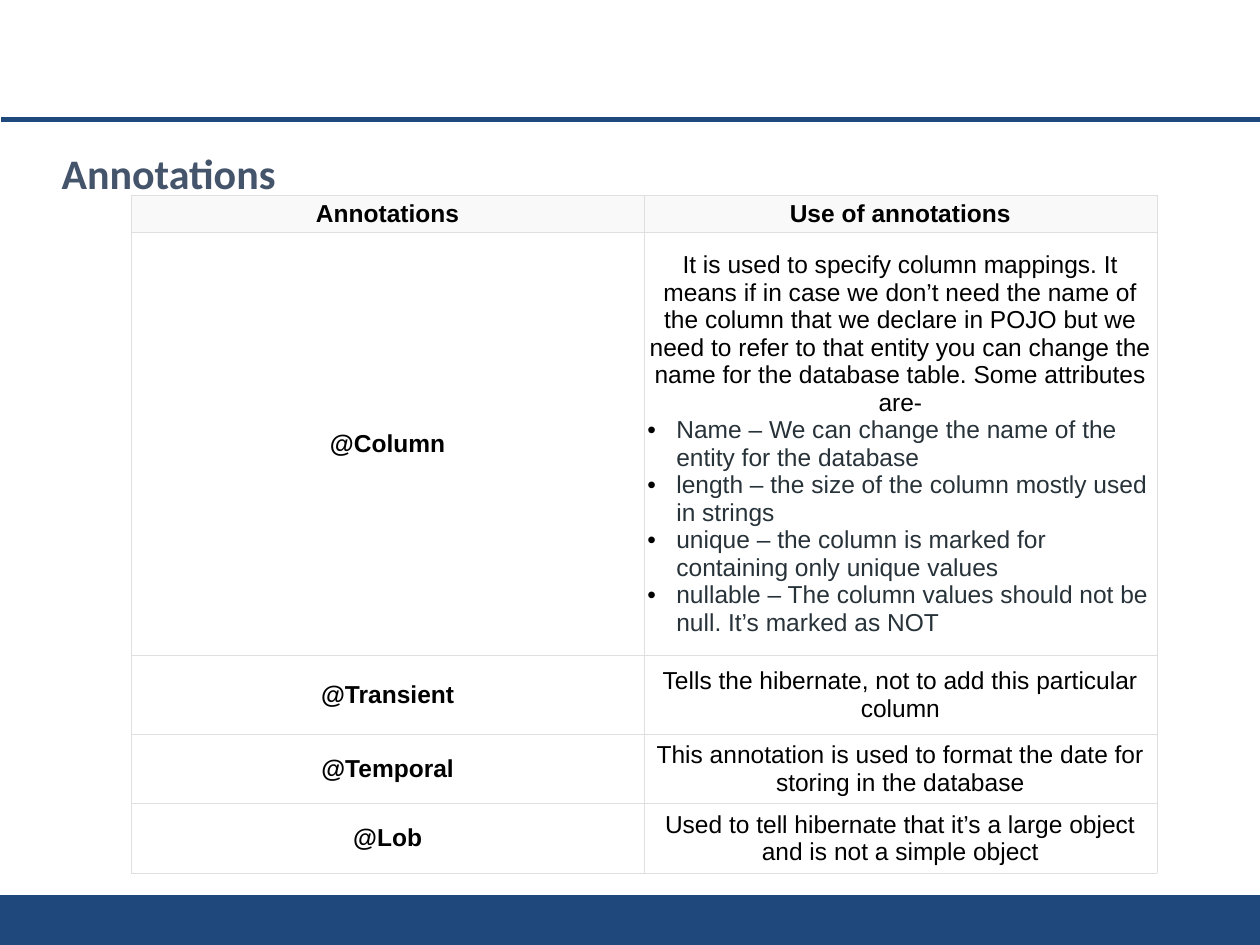
from dataclasses import dataclass

import lxml.etree
import pptx
import pptx.dml.color
import pptx.enum.shapes
import pptx.enum.text
import pptx.oxml.ns
import pptx.util

Pt = pptx.util.Pt
RGB = pptx.dml.color.RGBColor.from_string
qn = pptx.oxml.ns.qn
ALIGN = pptx.enum.text.PP_ALIGN
ANCHOR = pptx.enum.text.MSO_ANCHOR


@dataclass(frozen=True)
class Theme:
    navy: str = "1F487C"
    title: str = "44546A"
    text: str = "000000"
    attribute: str = "273239"
    header_fill: str = "F9F9F9"
    body_fill: str = "FFFFFF"
    border: str = "DFDFDF"
    title_font: str = "Calibri"
    table_font: str = "Arial"
    title_size: float = 24
    table_size: float = 14


@dataclass(frozen=True)
class Annotation:
    name: str
    use: str
    height: float
    attributes: tuple[str, ...] = ()


THEME = Theme()
SLIDE_WIDTH, SLIDE_HEIGHT = 720, 540
COLUMN_WIDTH = 293
HEADER = Annotation("Annotations", "Use of annotations", 21.4)
ANNOTATIONS = [
    Annotation(
        "@Column",
        "It is used to specify column mappings. It means if in case we don’t need "
        "the name of the column that we declare in POJO but we need to refer to that "
        "entity you can change the name for the database table. Some attributes are-",
        241.7,
        (
            "Name – We can change the name of the entity for the database",
            "length – the size of the column mostly used in strings",
            "unique – the column is marked for containing only unique values",
            "nullable – The column values should not be null. It’s marked as NOT",
        ),
    ),
    Annotation("@Transient", "Tells the hibernate, not to add this particular column", 45.1),
    Annotation("@Temporal", "This annotation is used to format the date for storing in the database", 39.4),
    Annotation("@Lob", "Used to tell hibernate that it’s a large object and is not a simple object", 40),
]


def apply(target, values: dict) -> None:
    for name, value in values.items():
        setattr(target, name, value)


def write(paragraph, text: str, font: str, size: float, color: str, bold: bool) -> None:
    run = paragraph.add_run()
    run.text = text
    apply(run.font, {"name": font, "size": Pt(size), "bold": bold})
    run.font.color.rgb = RGB(color)


def add_bullet(paragraph) -> None:
    properties = paragraph._p.get_or_add_pPr()
    indent = Pt(16.5)
    properties.set("marL", str(indent))
    properties.set("indent", str(-indent))
    color = lxml.etree.SubElement(properties, qn("a:buClr"))
    lxml.etree.SubElement(color, qn("a:srgbClr"), val=THEME.text)
    lxml.etree.SubElement(properties, qn("a:buFont"), typeface=THEME.table_font)
    lxml.etree.SubElement(properties, qn("a:buChar"), char="•")


def add_borders(cell) -> None:
    properties = cell._tc.get_or_add_tcPr()
    for side in ("lnL", "lnR", "lnT", "lnB"):
        border = lxml.etree.SubElement(properties, qn(f"a:{side}"), w=str(Pt(0.15)))
        fill = lxml.etree.SubElement(border, qn("a:solidFill"))
        lxml.etree.SubElement(fill, qn("a:srgbClr"), val=THEME.border)


def fill_cell(cell, text: str, fill: str, bold: bool, attributes: tuple[str, ...] = ()) -> None:
    add_borders(cell)
    cell.fill.solid()
    cell.fill.fore_color.rgb = RGB(fill)
    apply(cell, {
        "margin_left": Pt(2), "margin_right": Pt(2),
        "margin_top": Pt(2.5), "margin_bottom": Pt(2.5),
        "vertical_anchor": ANCHOR.MIDDLE,
    })
    lead = cell.text_frame.paragraphs[0]
    lead.alignment = ALIGN.CENTER
    write(lead, text, THEME.table_font, THEME.table_size, THEME.text, bold)
    for attribute in attributes:
        item = cell.text_frame.add_paragraph()
        item.alignment = ALIGN.LEFT
        add_bullet(item)
        write(item, attribute, THEME.table_font, THEME.table_size, THEME.attribute, False)


def add_annotation_table(slide) -> None:
    entries = [HEADER, *ANNOTATIONS]
    table = slide.shapes.add_table(
        len(entries), 2, Pt(75), Pt(111.5), Pt(2 * COLUMN_WIDTH),
        Pt(sum(entry.height for entry in entries)),
    ).table
    apply(table, {"first_row": False, "horz_banding": False})
    for column in table.columns:
        column.width = Pt(COLUMN_WIDTH)
    for row, entry in zip(table.rows, entries):
        row.height = Pt(entry.height)
        is_header = entry is HEADER
        fill = THEME.header_fill if is_header else THEME.body_fill
        name, use = row.cells
        fill_cell(name, entry.name, fill, True)
        fill_cell(use, entry.use, fill, is_header, entry.attributes)


def add_footer_band(slide) -> None:
    top, bottom = Pt(511.2), Pt(544.3)
    outline = slide.shapes.build_freeform(Pt(SLIDE_WIDTH), top)
    outline.add_line_segments([(0, top), (0, bottom), (Pt(SLIDE_WIDTH), bottom)], close=True)
    band = outline.convert_to_shape()
    band.shadow.inherit = False
    band.fill.solid()
    band.fill.fore_color.rgb = RGB(THEME.navy)
    band.line.fill.background()


def add_header_rule(slide) -> None:
    rule = slide.shapes.add_connector(
        pptx.enum.shapes.MSO_CONNECTOR.STRAIGHT, Pt(0.7), Pt(68.4), Pt(724.3), Pt(68.4)
    )
    rule.line.color.rgb = RGB(THEME.navy)
    rule.line.width = Pt(3)
    lxml.etree.SubElement(rule._element.spPr, qn("a:effectLst"))


def set_title(slide) -> None:
    title = slide.shapes.title
    apply(title, {"left": Pt(28), "top": Pt(80.6), "width": Pt(452), "height": Pt(36)})
    apply(title.text_frame, {
        "word_wrap": True,
        "auto_size": pptx.enum.text.MSO_AUTO_SIZE.NONE,
        "vertical_anchor": ANCHOR.TOP,
        "margin_left": Pt(7.2), "margin_right": Pt(7.2),
        "margin_top": Pt(3.6), "margin_bottom": Pt(3.6),
    })
    heading = title.text_frame.paragraphs[0]
    heading.alignment = ALIGN.LEFT
    write(heading, "Annotations", THEME.title_font, THEME.title_size, THEME.title, True)


def main() -> None:
    deck = pptx.Presentation()
    apply(deck, {"slide_width": Pt(SLIDE_WIDTH), "slide_height": Pt(SLIDE_HEIGHT)})
    slide = deck.slides.add_slide(deck.slide_layouts.get_by_name("Title Only"))
    add_footer_band(slide)
    set_title(slide)
    add_header_rule(slide)
    add_annotation_table(slide)
    deck.save("out.pptx")


if __name__ == "__main__":
    main()
